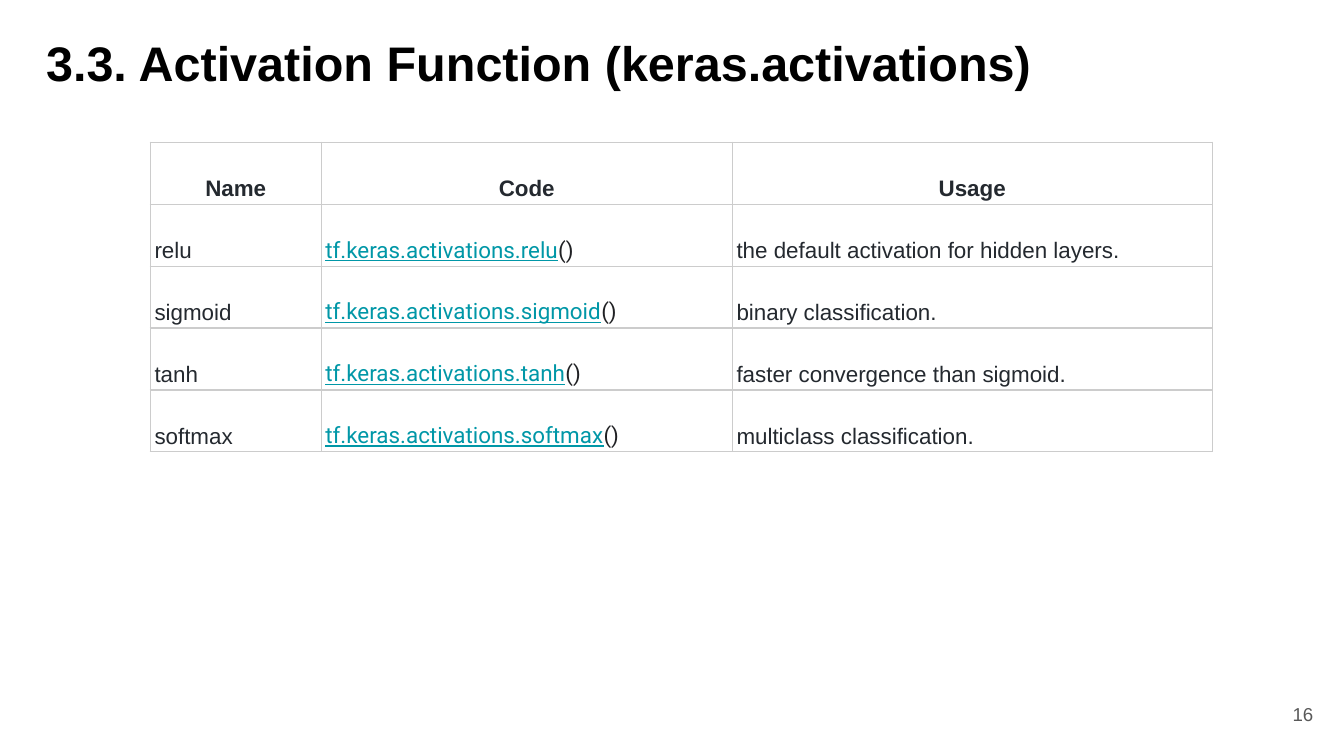
from lxml import etree
from pptx import Presentation
from pptx.dml.color import RGBColor
from pptx.enum import text
from pptx.oxml import ns
from pptx.util import Cm, Pt

INK = "24292F"
LINK = "0097A7"
FUNCTIONS = [
    ("relu", "the default activation for hidden layers."),
    ("sigmoid", "binary classification."),
    ("tanh", "faster convergence than sigmoid."),
    ("softmax", "multiclass classification."),
]


def color(value):
    return RGBColor.from_string(value)


class PageBuilder:
    font = "Arial"
    code_font = "Roboto"
    border = "CCCCCC"
    inset = Cm(0.25)

    def __init__(self, page):
        self.page = page

    def style(self, font, size, fill, bold=False, name=None):
        font.name = name or self.font
        font.size = Pt(size)
        font.bold = bold
        font.color.rgb = color(fill)

    def frame(self, box, wording, anchor, align):
        frame = box.text_frame
        frame.word_wrap = True
        frame.vertical_anchor = anchor
        frame.margin_left = frame.margin_right = self.inset
        frame.margin_top = frame.margin_bottom = self.inset
        para = frame.paragraphs[0]
        para.text = wording
        para.alignment = align
        return para

    def title(self, wording, left, top, width, height):
        box = self.page.shapes.title
        box.left, box.top, box.width, box.height = map(Cm, (left, top, width, height))
        para = self.frame(box, wording, text.MSO_ANCHOR.TOP, text.PP_ALIGN.LEFT)
        self.style(para.font, 26, "000000", bold=True)
        box.text_frame.auto_size = text.MSO_AUTO_SIZE.SHAPE_TO_FIT_TEXT

    def number(self, wording, left, top, width, height):
        box = self.page.shapes.add_textbox(*map(Cm, (left, top, width, height)))
        para = self.frame(box, wording, text.MSO_ANCHOR.MIDDLE, text.PP_ALIGN.RIGHT)
        self.style(para.font, 10, "595959")

    def table(self, rows, left, top, widths, row_height):
        size = Cm(sum(widths)), Cm(row_height * len(rows))
        table = self.page.shapes.add_table(
            len(rows), len(widths), Cm(left), Cm(top), *size).table
        table.first_row = table.horz_banding = False
        for column, width in zip(table.columns, widths):
            column.width = Cm(width)
        for r, row in enumerate(rows):
            table.rows[r].height = Cm(row_height)
            for c, wording in enumerate(row):
                self.cell(table.cell(r, c), wording, header=r == 0, code=r > 0 and c == 1)

    def cell(self, cell, wording, header, code):
        cell.margin_left = cell.margin_right = Cm(0.08)
        cell.margin_top = cell.margin_bottom = Cm(0.05)
        cell.vertical_anchor = text.MSO_ANCHOR.BOTTOM
        cell.fill.solid()
        cell.fill.fore_color.rgb = color("FFFFFF")
        self.borders(cell)
        para = cell.text_frame.paragraphs[0]
        para.line_spacing = 1.15
        para.alignment = text.PP_ALIGN.CENTER if header else text.PP_ALIGN.LEFT
        if code:
            for part, fill in ((wording, LINK), ("()", "202124")):
                span = para.add_run()
                span.text = part
                self.style(span.font, 12, fill, name=self.code_font)
                span.font.underline = fill == LINK
        else:
            para.text = wording
            self.style(para.font, 12, INK, bold=header)

    def borders(self, cell):
        properties = cell._tc.get_or_add_tcPr()
        for position, side in enumerate(("lnL", "lnR", "lnT", "lnB")):
            line = etree.Element(ns.qn(f"a:{side}"), w=str(Pt(0.75)))
            fill = etree.SubElement(line, ns.qn("a:solidFill"))
            etree.SubElement(fill, ns.qn("a:srgbClr"), val=self.border)
            properties.insert(position, line)


def main():
    deck = Presentation()
    deck.slide_width, deck.slide_height = Cm(25.4), Cm(14.29)
    builder = PageBuilder(deck.slides.add_slide(deck.slide_layouts[5]))
    builder.title("3.3. Activation Function (keras.activations)", 0.62, 0.38, 24.08, 1.63)
    rows = [("Name", "Code", "Usage")]
    rows += [(name, f"tf.keras.activations.{name}", usage) for name, usage in FUNCTIONS]
    builder.table(rows, 2.84, 2.69, (3.23, 7.77, 9.07), 1.17)
    builder.number("16", 23.55, 12.95, 1.52, 1.09)
    deck.save("out.pptx")


if __name__ == "__main__":
    main()
